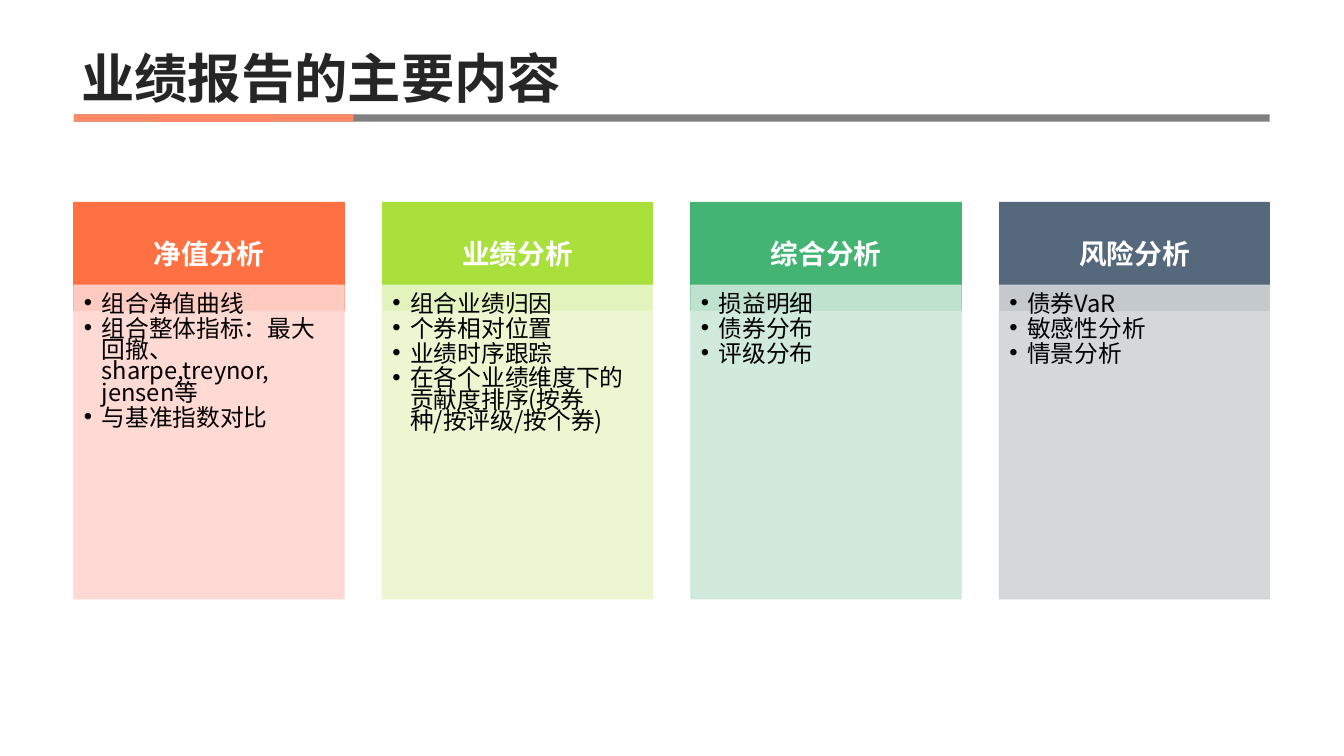
from dataclasses import dataclass

from pptx import Presentation
from pptx.dml.color import RGBColor
from pptx.enum.shapes import MSO_SHAPE
from pptx.enum.text import MSO_ANCHOR, MSO_AUTO_SIZE, PP_ALIGN
from pptx.oxml.ns import qn
from pptx.oxml.xmlchemy import OxmlElement
from pptx.util import Pt


@dataclass(frozen=True)
class Theme:
    """Colours, fonts and type sizes of the slide."""
    title_font: str = "Arial"
    body_font: str = "Noto Sans CJK SC"
    title_size: int = 54
    header_size: int = 28
    body_size: int = 24
    title_color: str = "262626"
    header_color: str = "FFFFFF"
    body_color: str = "000000"
    rule_color: str = "808080"
    accent_color: str = "FF8A65"
    panel_alpha: int = 90


SLIDE_WIDTH, SLIDE_HEIGHT = 1360.8, 765.36
LEFT, CONTENT_WIDTH = 74.9, 1210.7
RULE_TOP, RULE_HEIGHT, ACCENT_WIDTH = 115.9, 7.2, 201.6
COLUMN_WIDTH = 273.6
HEADER_TOP, HEADER_HEIGHT = 204.5, 109.4
PANEL_TOP, PANEL_HEIGHT = 288.7, 317.5

COLUMNS = [
    ("净值分析", "FF7043", "FFD5CF",
     ["组合净值曲线", "组合整体指标：最大回撤、sharpe,treynor, jensen等", "与基准指数对比"]),
    ("业绩分析", "A9E03C", "EAF6CC",
     ["组合业绩归因", "个券相对位置", "业绩时序跟踪",
      "在各个业绩维度下的贡献度排序(按券种/按评级/按个券)"]),
    ("综合分析", "44B474", "CCE8D8", ["损益明细", "债券分布", "评级分布"]),
    ("风险分析", "56687C", "D1D4D7", ["债券VaR", "敏感性分析", "情景分析"]),
]


class SlideBuilder:
    """Holds the theme and the current slide."""

    def __init__(self, slide, theme):
        """Keep the slide and its theme."""
        self.slide = slide
        self.theme = theme

    def format_paragraph(self, paragraph, font_name, size, color, bold=False,
                         alignment=PP_ALIGN.LEFT, line_spacing=0.9):
        """Set font, alignment and line spacing of a paragraph."""
        font = paragraph.font
        font.name, font.size, font.bold = font_name, Pt(size), bold
        font.color.rgb = RGBColor.from_string(color)
        paragraph.alignment = alignment
        paragraph.line_spacing = line_spacing
        for run in paragraph.runs:
            properties = run.font
            properties.name = font_name
            east_asian = OxmlElement("a:ea")
            east_asian.set("typeface", font_name)
            run._r.get_or_add_rPr().find(qn("a:latin")).addnext(east_asian)

    def format_frame(self, frame, anchor, margins):
        """Set wrapping, anchor and left, top, right, bottom margins."""
        frame.word_wrap = True
        frame.auto_size = MSO_AUTO_SIZE.NONE
        frame.vertical_anchor = anchor
        (frame.margin_left, frame.margin_top,
         frame.margin_right, frame.margin_bottom) = map(Pt, margins)

    def title(self, text):
        """Fill and place the title placeholder."""
        title = self.slide.shapes.title
        title.left, title.top = Pt(LEFT), Pt(0)
        title.width, title.height = Pt(CONTENT_WIDTH), Pt(114.5)
        title.text_frame.text = text
        self.format_frame(title.text_frame, MSO_ANCHOR.BOTTOM, (7.2, 3.6, 7.2, 3.6))
        self.format_paragraph(title.text_frame.paragraphs[0], self.theme.title_font,
                              self.theme.title_size, self.theme.title_color, bold=True)

    def rectangle(self, left, top, width, height, color, outlined=False):
        """Add a flat rectangle, with a thin line of its own colour if outlined."""
        shape = self.slide.shapes.add_shape(
            MSO_SHAPE.RECTANGLE, Pt(left), Pt(top), Pt(width), Pt(height))
        shape.shadow.inherit = False
        shape.fill.solid()
        shape.fill.fore_color.rgb = RGBColor.from_string(color)
        if outlined:
            shape.line.color.rgb = RGBColor.from_string(color)
            shape.line.width = Pt(1)
        else:
            shape.line.fill.background()
        return shape

    def header(self, left, text, color):
        """Add the coloured heading of a column."""
        shape = self.rectangle(left, HEADER_TOP, COLUMN_WIDTH, HEADER_HEIGHT, color, True)
        frame = shape.text_frame
        frame.text = text
        self.format_frame(frame, MSO_ANCHOR.MIDDLE, (15.8, 8.6, 15.8, 8.6))
        self.format_paragraph(frame.paragraphs[0], self.theme.body_font,
                              self.theme.header_size, self.theme.header_color,
                              bold=True, alignment=PP_ALIGN.CENTER)

    def panel(self, left, items, color):
        """Add the translucent bullet panel of a column."""
        shape = self.rectangle(left, PANEL_TOP, COLUMN_WIDTH, PANEL_HEIGHT, color, True)
        for fill_color in shape.element.spPr.iter(qn("a:srgbClr")):
            alpha = OxmlElement("a:alpha")
            alpha.set("val", str(self.theme.panel_alpha * 1000))
            fill_color.append(alpha)
        frame = shape.text_frame
        frame.text = "\n".join(items)
        self.format_frame(frame, MSO_ANCHOR.TOP, (10.1, 10.1, 13.7, 15.1))
        for paragraph in frame.paragraphs:
            self.format_paragraph(paragraph, self.theme.body_font, self.theme.body_size,
                                  self.theme.body_color, line_spacing=0.75)
            paragraph.space_after = Pt(3.6)
            self.bullet(paragraph)

    def bullet(self, paragraph):
        """Give a paragraph a hanging round bullet."""
        properties = paragraph._p.get_or_add_pPr()
        properties.set("marL", str(Pt(18)))
        properties.set("indent", str(-Pt(18)))
        font = OxmlElement("a:buFont")
        font.set("typeface", self.theme.title_font)
        character = OxmlElement("a:buChar")
        character.set("char", "•")
        properties.find(qn("a:defRPr")).addprevious(font)
        font.addnext(character)


def main():
    """Build and save the presentation."""
    presentation = Presentation()
    presentation.slide_width, presentation.slide_height = Pt(SLIDE_WIDTH), Pt(SLIDE_HEIGHT)
    theme = Theme()
    slide = presentation.slides.add_slide(presentation.slide_layouts[5])
    builder = SlideBuilder(slide, theme)

    builder.title("业绩报告的主要内容")
    builder.rectangle(LEFT, RULE_TOP, CONTENT_WIDTH, RULE_HEIGHT, theme.rule_color)
    builder.rectangle(LEFT + 81.4, RULE_TOP, ACCENT_WIDTH, RULE_HEIGHT, theme.accent_color)
    builder.rectangle(LEFT, RULE_TOP, ACCENT_WIDTH, RULE_HEIGHT, theme.accent_color)

    pitch = (CONTENT_WIDTH - COLUMN_WIDTH) / (len(COLUMNS) - 1)
    for index, (heading, header_color, panel_color, items) in enumerate(COLUMNS):
        left = LEFT + index * pitch
        builder.header(left, heading, header_color)
        builder.panel(left, items, panel_color)

    presentation.save("out.pptx")


if __name__ == "__main__":
    main()
